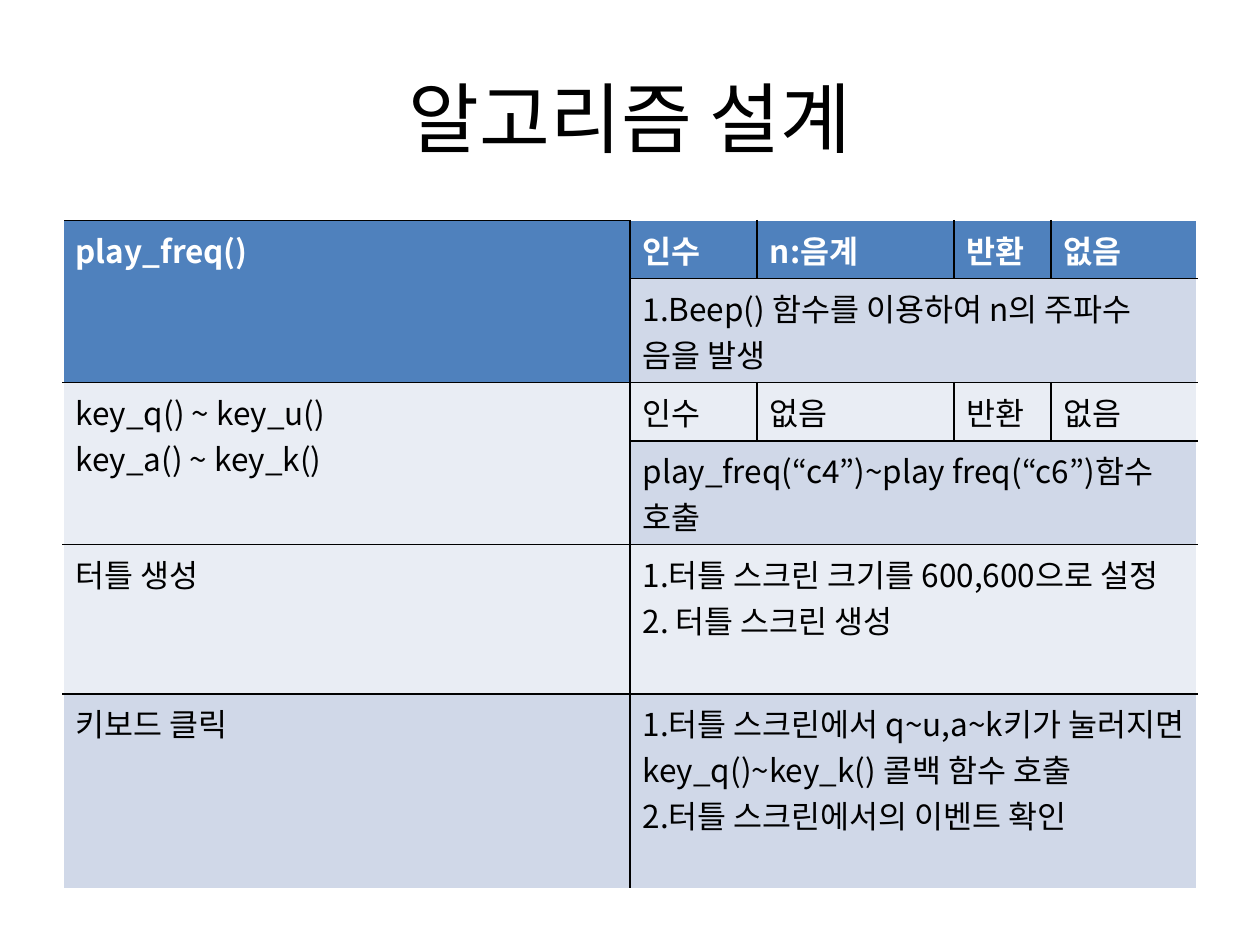
"""Build the algorithm design slide: a title above a table of functions and steps."""
from lxml import etree
from pptx import Presentation
from pptx.dml.color import RGBColor
from pptx.enum.text import MSO_ANCHOR, PP_ALIGN
from pptx.oxml.ns import qn
from pptx.util import Inches, Pt

CENTER = PP_ALIGN.CENTER
LEFT = PP_ALIGN.LEFT
MIDDLE = MSO_ANCHOR.MIDDLE
BLACK = RGBColor(0x00, 0x00, 0x00)
WHITE = RGBColor(0xFF, 0xFF, 0xFF)
HEADER_BLUE = RGBColor(0x4F, 0x81, 0xBD)
BAND_DARK = RGBColor(0xD0, 0xD8, 0xE8)
BAND_LIGHT = RGBColor(0xE9, 0xED, 0xF4)
FONT = "Noto Sans CJK KR"

COLUMN_WIDTHS = [4.5, 1.01, 1.56, 0.77, 1.16]
ROW_HEIGHTS = [0.2, 0.2, 0.2, 0.74, 0.47, 0.41]
LAST_COLUMN = len(COLUMN_WIDTHS) - 1
LAST_ROW = len(ROW_HEIGHTS) - 1
TALL_ROWS = [0, 2]
WIDE_ROWS = [1, 3, 4, 5]
CONTENT = [
    ["play_freq()", "인수", "n:음계", "반환", "없음"],
    [None, "1.Beep() 함수를 이용하여 n의 주파수 음을 발생"],
    ["key_q() ~ key_u()\nkey_a() ~ key_k()", "인수", "없음", "반환", "없음"],
    [None, "play_freq(“c4”)~play freq(“c6”)함수 호출"],
    ["터틀 생성", "1.터틀 스크린 크기를 600,600으로 설정\n2. 터틀 스크린 생성"],
    ["키보드 클릭",
     "1.터틀 스크린에서 q~u,a~k키가 눌러지면 key_q()~key_k() 콜백 함수 호출\n"
     "2.터틀 스크린에서의 이벤트 확인"],
]
ROW_FILLS = [HEADER_BLUE, BAND_DARK, BAND_LIGHT, BAND_DARK, BAND_LIGHT, BAND_DARK]


def write(frame, text, size=18, color=BLACK, bold=False, align=LEFT):
    frame.text = text
    for paragraph in frame.paragraphs:
        paragraph.alignment = align
        for run in paragraph.runs:
            run.font.name = FONT
            run.font.size = Pt(size)
            run.font.bold = bold
            run.font.color.rgb = color
            east_asian = etree.Element(qn("a:ea"), typeface=FONT)
            run.font._element.find(qn("a:latin")).addnext(east_asian)


def draw_borders(cell, edges):
    properties = cell._tc.get_or_add_tcPr()
    for position, (edge, color) in enumerate(edges):
        line = etree.Element(qn("a:" + edge), w=str(Pt(1)))
        fill = etree.SubElement(line, qn("a:solidFill"))
        etree.SubElement(fill, qn("a:srgbClr"), val=str(color))
        properties.insert(position, line)


deck = Presentation()
deck.slide_width, deck.slide_height = Inches(10), Inches(7.5)
slide = deck.slides.add_slide(deck.slide_layouts[5])

title = slide.shapes.title
title.left, title.top = Inches(0.5), Inches(0.3)
title.width, title.height = Inches(9), Inches(1.25)
title.text_frame.vertical_anchor = MIDDLE
write(title.text_frame, "알고리즘 설계", size=44, align=CENTER)

table_frame = slide.shapes.add_table(
    len(ROW_HEIGHTS), len(COLUMN_WIDTHS),
    Inches(0.5), Inches(1.75), Inches(9), Inches(4.24))
functions = table_frame.table
for column, width in zip(functions.columns, COLUMN_WIDTHS):
    column.width = Inches(width)
for row, height in zip(functions.rows, ROW_HEIGHTS):
    row.height = Inches(height)
table_frame.height = Inches(4.24)

for r in TALL_ROWS:
    functions.cell(r, 0).merge(functions.cell(r + 1, 0))
for r in WIDE_ROWS:
    functions.cell(r, 1).merge(functions.cell(r, LAST_COLUMN))

for r, fill_color in enumerate(ROW_FILLS):
    for c in range(len(COLUMN_WIDTHS)):
        cell = functions.cell(r, c)
        in_tall = c == 0 and r - 1 in TALL_ROWS
        in_wide = c > 1 and r in WIDE_ROWS
        last = c == LAST_COLUMN or (c == 1 and r in WIDE_ROWS)
        cell.fill.solid()
        cell.fill.fore_color.rgb = ROW_FILLS[r - 1] if in_tall else fill_color
        edges = [
            ("lnL", WHITE if c == 0 else BLACK),
            ("lnR", WHITE if last else BLACK),
            ("lnT", WHITE if r == 0 and c > 0 else BLACK),
            ("lnB", WHITE if r == LAST_ROW else BLACK),
        ]
        if in_wide:
            edges = edges[2:]
        elif in_tall:
            edges = edges[:2] + edges[3:]
        draw_borders(cell, edges)
        if c < len(CONTENT[r]) and CONTENT[r][c]:
            write(cell.text_frame, CONTENT[r][c],
                  color=WHITE if r == 0 else BLACK, bold=r == 0)

deck.save("out.pptx")
